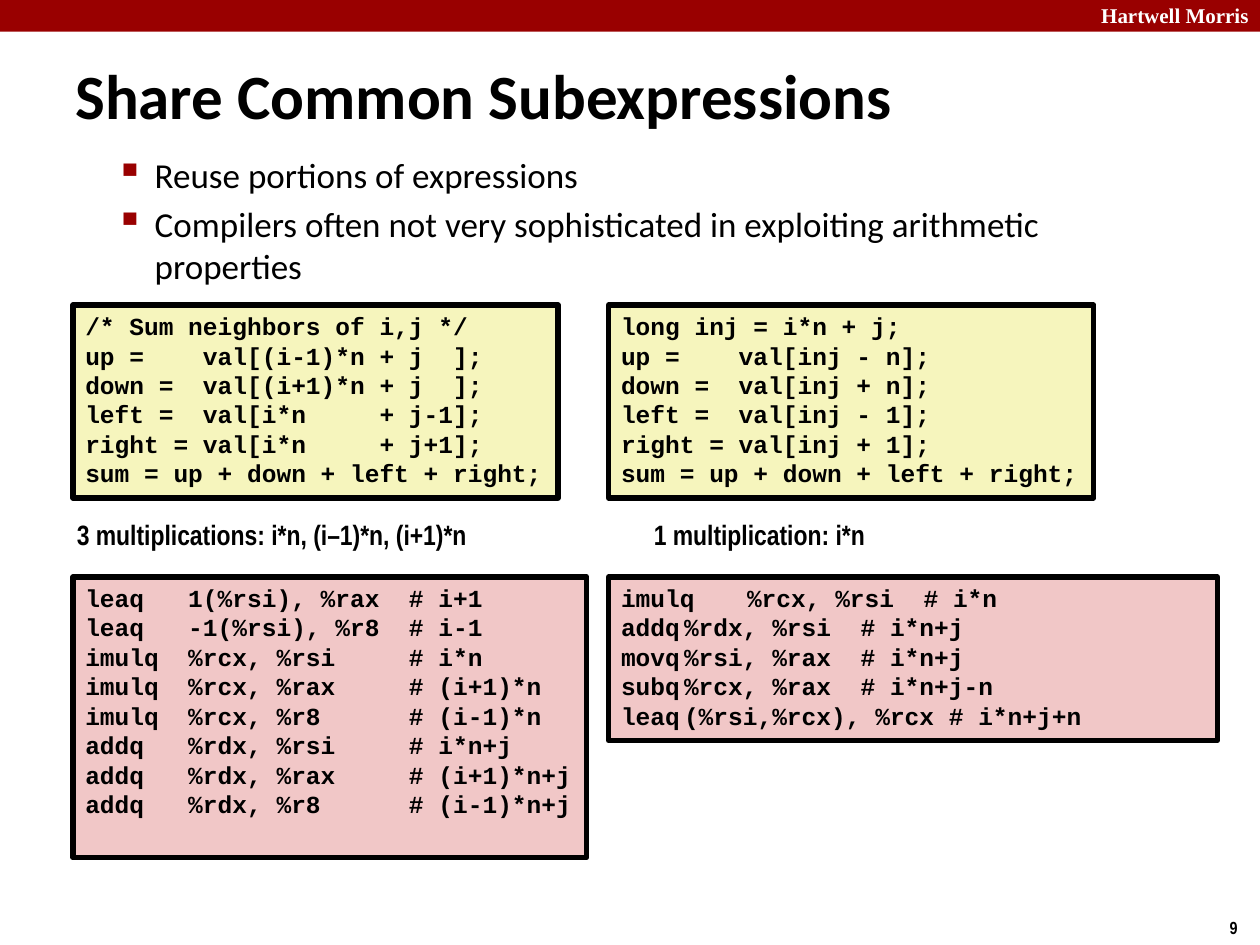
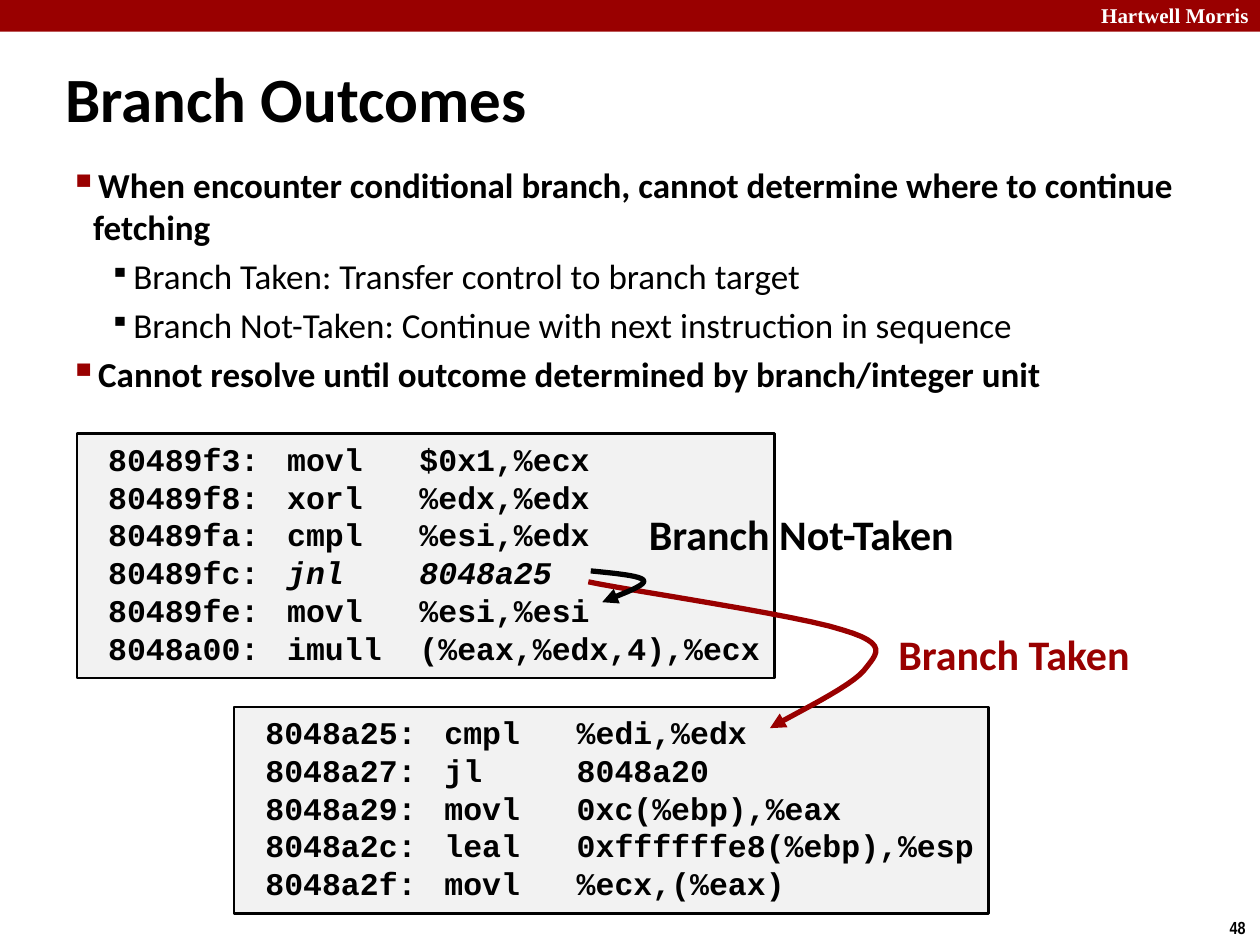
import lxml.etree
import pptx
import pptx.dml.color
import pptx.enum.shapes
import pptx.enum.text
import pptx.oxml.ns
import pptx.util

Cm = pptx.util.Cm
Pt = pptx.util.Pt
qn = pptx.oxml.ns.qn

COLORS = {
    "red": "990000",
    "black": "000000",
    "white": "FFFFFF",
    "source_code": "F6F5BD",
    "assembly": "F1C7C7",
    "listing": "F2F2F2",
}
HEADING, CODE, NARROW, SERIF = "Calibri", "Courier New", "Arial Narrow", "Times New Roman"
CURVE_STEPS = 12

# Bullet styles: text left, hanging indent, size in percent, colour, bold
TOPIC = (2.06, 0.79, 110, "red", False)
POINT = (0.79, 0.48, 110, "red", True)
SUBPOINT = (1.6, 0.48, 80, "black", False)

SUM_SOURCE = [
    "/* Sum neighbors of i,j */",
    "up =    val[(i-1)*n + j  ];",
    "down =  val[(i+1)*n + j  ];",
    "left =  val[i*n     + j-1];",
    "right = val[i*n     + j+1];",
    "sum = up + down + left + right;",
]
SHARED_SOURCE = [
    "long inj = i*n + j;",
    "up =    val[inj - n];",
    "down =  val[inj + n];",
    "left =  val[inj - 1];",
    "right = val[inj + 1];",
    "sum = up + down + left + right;",
]
SUM_ASSEMBLY = [
    "leaq   1(%rsi), %rax  # i+1",
    "leaq   -1(%rsi), %r8  # i-1",
    "imulq  %rcx, %rsi     # i*n",
    "imulq  %rcx, %rax     # (i+1)*n",
    "imulq  %rcx, %r8      # (i-1)*n",
    "addq   %rdx, %rsi     # i*n+j",
    "addq   %rdx, %rax     # (i+1)*n+j",
    "addq   %rdx, %r8      # (i-1)*n+j",
]
SHARED_ASSEMBLY = [
    "imulq\t%rcx, %rsi  # i*n",
    "addq\t%rdx, %rsi  # i*n+j",
    "movq\t%rsi, %rax  # i*n+j",
    "subq\t%rcx, %rax  # i*n+j-n",
    "leaq\t(%rsi,%rcx), %rcx # i*n+j+n",
]
BRANCH_LISTING = [
    " 80489f3:\tmovl   $0x1,%ecx",
    " 80489f8:\txorl   %edx,%edx",
    " 80489fa:\tcmpl   %esi,%edx",
    (" 80489fc:\t", "jnl    8048a25"),
    " 80489fe:\tmovl   %esi,%esi",
    " 8048a00:\timull  (%eax,%edx,4),%ecx",
]
TARGET_LISTING = [
    " 8048a25:\tcmpl   %edi,%edx",
    " 8048a27:\tjl     8048a20",
    " 8048a29:\tmovl   0xc(%ebp),%eax",
    " 8048a2c:\tleal   0xffffffe8(%ebp),%esp",
    " 8048a2f:\tmovl   %ecx,(%eax)",
]

# Bezier points: a start, then two controls and an end for each segment
NOT_TAKEN_CURVE = [
    (11.91, 11.51), (12.42, 11.56), (12.95, 11.61), (12.98, 11.71),
    (13, 11.81), (12.57, 11.96), (12.14, 12.14),
]
TAKEN_CURVE = [
    (11.86, 11.73), (12.7, 11.91), (16.08, 12.4), (16.99, 12.7),
    (17.93, 12.98), (17.68, 13.18), (17.42, 13.51),
    (17.17, 13.84), (15.93, 14.43), (15.52, 14.68),
]


def rgb(name):
    return pptx.dml.color.RGBColor.from_string(COLORS[name])


def place(at):
    return [Cm(length) for length in at]


def add_xml(parent, tag, **attributes):
    return lxml.etree.SubElement(parent, qn(tag), attributes)


def write_text(frame, lines, size=14, font=HEADING, color="black", bold=True, anchor="TOP"):
    """Write one paragraph per line; a pair is a plain part and an italic part."""
    frame.word_wrap = True
    frame.vertical_anchor = getattr(pptx.enum.text.MSO_ANCHOR, anchor)
    for index, line in enumerate(lines):
        paragraph = frame.paragraphs[0] if index == 0 else frame.add_paragraph()
        paragraph.alignment = pptx.enum.text.PP_ALIGN.LEFT
        parts = (line,) if isinstance(line, str) else line
        for part, words in enumerate(parts):
            run = paragraph.add_run()
            run.text = words
            run.font.size = Pt(size)
            run.font.name = font
            run.font.bold = bold
            run.font.italic = part == 1
            run.font.color.rgb = rgb(color)


def add_label(slide, words, at, **text_format):
    write_text(slide.shapes.add_textbox(*place(at)).text_frame, [words], **text_format)


def add_box(slide, at, fill, border=None):
    box = slide.shapes.add_shape(pptx.enum.shapes.MSO_SHAPE.RECTANGLE, *place(at))
    box.shadow.inherit = False
    box.fill.solid()
    box.fill.fore_color.rgb = rgb(fill)
    if border:
        box.line.color.rgb = rgb("black")
        box.line.width = Pt(border)
    else:
        box.line.fill.background()
    return box


def add_code(slide, lines, at, fill, border=3, size=14, tab=None):
    frame = add_box(slide, at, fill, border).text_frame
    write_text(frame, lines, size=size, font=CODE)
    if tab:
        for paragraph in frame.paragraphs:
            tabs = add_xml(paragraph._p.get_or_add_pPr(), "a:tabLst")
            add_xml(tabs, "a:tab", pos=str(Cm(tab)), algn="l")


def add_bullets(slide, items, at):
    frame = slide.shapes.add_textbox(*place(at)).text_frame
    write_text(frame, [words for words, _ in items], size=20)
    for paragraph, (_, style) in zip(frame.paragraphs, items):
        left, hanging, percent, color, bold = style
        paragraph.space_before = Pt(4)
        paragraph.runs[0].font.bold = bold
        properties = paragraph._p.get_or_add_pPr()
        properties.set("marL", str(Cm(left)))
        properties.set("indent", str(-Cm(hanging)))
        add_xml(add_xml(properties, "a:buClr"), "a:srgbClr", val=COLORS[color])
        add_xml(properties, "a:buSzPct", val=str(percent * 1000))
        add_xml(properties, "a:buChar", char="▪")


def bezier_point(corners, t):
    weights = ((1 - t) ** 3, 3 * t * (1 - t) ** 2, 3 * t**2 * (1 - t), t**3)
    return tuple(
        Cm(sum(weight * corner[axis] for weight, corner in zip(weights, corners)))
        for axis in (0, 1)
    )


def add_curved_arrow(slide, points, color):
    outline = [
        bezier_point(points[first:first + 4], step / CURVE_STEPS)
        for first in range(0, len(points) - 1, 3)
        for step in range(1, CURVE_STEPS + 1)
    ]
    builder = slide.shapes.build_freeform(*place(points[0]))
    builder.add_line_segments(outline, close=False)
    arrow = builder.convert_to_shape()
    arrow.shadow.inherit = False
    arrow.fill.background()
    arrow.line.color.rgb = rgb(color)
    arrow.line.width = Pt(3)
    add_xml(arrow.element.spPr.find(qn("a:ln")), "a:tailEnd", type="triangle")


def start_slide(deck, title, title_at, number):
    """Add a slide with the header band, page number and title."""
    slide = deck.slides.add_slide(deck.slide_layouts[6])
    add_box(slide, (0, 0, 25.4, 0.64), "red")
    add_label(slide, "Hartwell Morris", (21.95, -0.08, 3.63, 0.76),
              size=12, font=SERIF, color="white")
    add_label(slide, number, (24.54, 18.36, 0.86, 0.69), size=10, font=NARROW)
    add_label(slide, title, title_at, size=36, anchor="MIDDLE")
    return slide


def build_subexpressions(deck):
    slide = start_slide(deck, "Share Common Subexpressions", (1.27, 0.43, 23.29, 2.95), "9")
    add_bullets(slide, [
        ("Reuse portions of expressions", TOPIC),
        ("Compilers often not very sophisticated in exploiting arithmetic properties", TOPIC),
    ], (0.81, 2.97, 23.09, 14.94))
    left, right = 1.47, 12.27
    for column, source in ((left, SUM_SOURCE), (right, SHARED_SOURCE)):
        add_code(slide, source, (column, 6.15, 9.78, 3.89), "source_code")
    for column, count in ((1.3, "3 multiplications: i*n, (i–1)*n, (i+1)*n"),
                          (12.93, "1 multiplication: i*n")):
        add_label(slide, count, (column, 10.31, 10.13, 0.91), size=16, font=NARROW)
    add_code(slide, SUM_ASSEMBLY, (left, 11.63, 10.36, 5.66), "assembly")
    add_code(slide, SHARED_ASSEMBLY, (right, 11.63, 12.27, 3.3), "assembly")


def build_branches(deck):
    slide = start_slide(deck, "Branch Outcomes", (1.07, 1.17, 16.48, 1.6), "48")
    add_bullets(slide, [
        ("When encounter conditional branch, cannot determine where to continue fetching", POINT),
        ("Branch Taken: Transfer control to branch target", SUBPOINT),
        ("Branch Not-Taken: Continue with next instruction in sequence", SUBPOINT),
        ("Cannot resolve until outcome determined by branch/integer unit", POINT),
    ], (0.84, 3.18, 24.33, 5.08))
    for listing, at in ((BRANCH_LISTING, (1.55, 8.74, 14.07, 4.93)),
                        (TARGET_LISTING, (4.72, 14.25, 15.21, 4.17))):
        add_code(slide, listing, at, "listing", border=1.5, size=18, tab=3.99)
    for words, at, curve, color in (
        ("Branch Taken", (17.86, 12.55, 5.23, 1.27), TAKEN_CURVE, "red"),
        ("Branch Not-Taken", (12.83, 10.13, 6.81, 1.27), NOT_TAKEN_CURVE, "black"),
    ):
        add_label(slide, words, at, size=24, color=color)
        add_curved_arrow(slide, curve, color)


def main():
    deck = pptx.Presentation()
    deck.slide_width, deck.slide_height = Cm(25.4), Cm(19.05)
    build_subexpressions(deck)
    build_branches(deck)
    deck.save("out.pptx")


if __name__ == "__main__":
    main()
